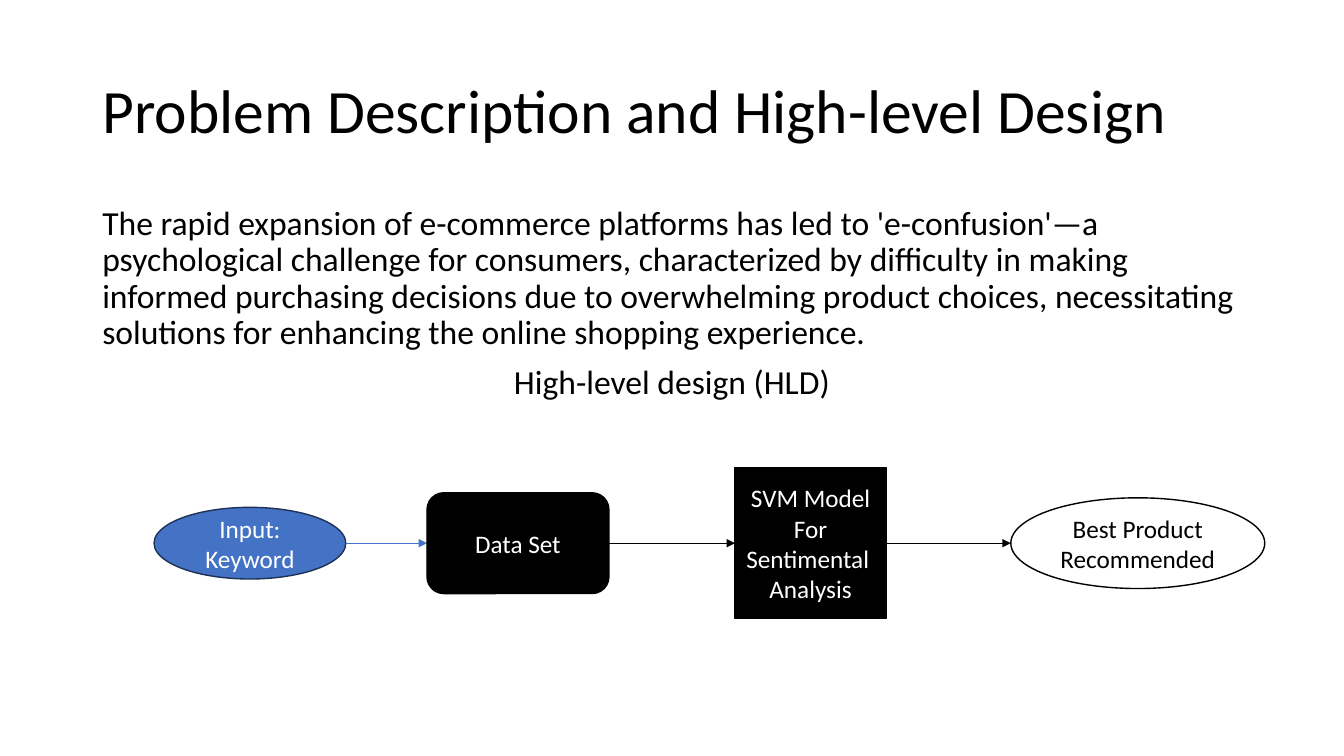
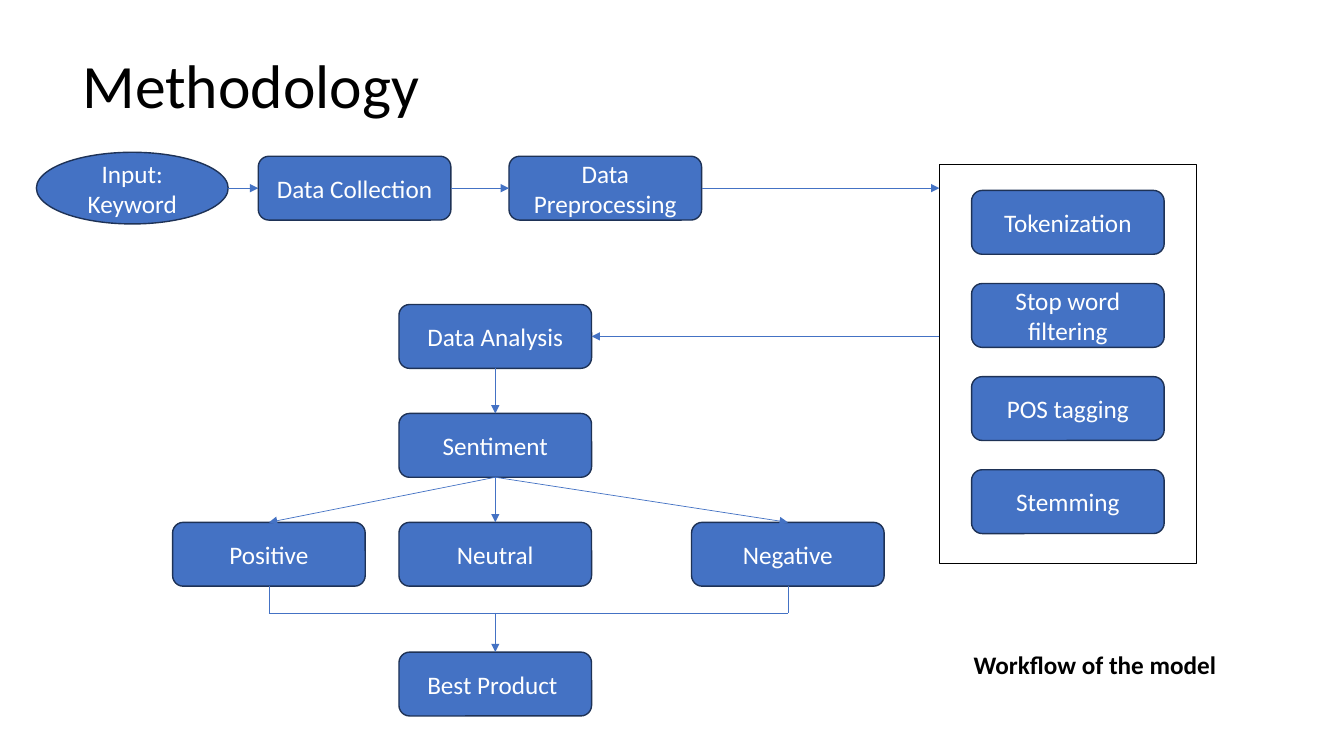
from dataclasses import dataclass

from lxml import etree
from pptx import Presentation
from pptx.dml.color import RGBColor
from pptx.enum.shapes import MSO_CONNECTOR, MSO_SHAPE
from pptx.enum.text import MSO_ANCHOR, PP_ALIGN
from pptx.oxml.ns import qn
from pptx.util import Pt

STRAIGHT = MSO_CONNECTOR.STRAIGHT
RECTANGLE = MSO_SHAPE.RECTANGLE
ROUNDED = MSO_SHAPE.ROUNDED_RECTANGLE
OVAL = MSO_SHAPE.OVAL
LEFT, CENTER = PP_ALIGN.LEFT, PP_ALIGN.CENTER
TOP_ANCHOR, MIDDLE = MSO_ANCHOR.TOP, MSO_ANCHOR.MIDDLE
# Connection sites of rectangles
TOP_SITE, LEFT_SITE, BOTTOM_SITE, RIGHT_SITE = range(4)
# Sizes shared by the flow diagrams
STEP_WIDTH, STEP_HEIGHT = 137.6, 45.6
INPUT_WIDTH, INPUT_HEIGHT = 137, 51.2


@dataclass(frozen=True)
class Theme:
    font: str = "Calibri"
    black: str = "000000"
    white: str = "FFFFFF"
    blue: str = "4472C4"
    navy: str = "1E3256"
    title_size: int = 44
    body_size: int = 24
    label_size: int = 18
    outline: float = 1
    connector: float = 0.5


class Deck:
    def __init__(self, theme):
        self.theme = theme
        self.presentation = Presentation()
        self.presentation.slide_width = Pt(960)
        self.presentation.slide_height = Pt(540)
        self.slide = None

    def new_slide(self, title, left, top):
        layout = self.presentation.slide_layouts[6]
        self.slide = self.presentation.slides.add_slide(layout)
        self.text(left, top, 828, 104.4, [(title, LEFT)],
                  self.theme.title_size, anchor=MIDDLE, spacing=0.9)

    def set_lines(self, frame, lines, size, color, anchor, bold=False,
                  spacing=None, before=None):
        """Fill a text frame with (text, alignment) lines."""
        frame.word_wrap = True
        frame.vertical_anchor = anchor
        for index, (text, alignment) in enumerate(lines):
            paragraph = frame.add_paragraph() if index else frame.paragraphs[0]
            paragraph.text = text
            paragraph.alignment = alignment
            if spacing:
                paragraph.line_spacing = spacing
            if before:
                paragraph.space_before = Pt(before)
            paragraph.font.name = self.theme.font
            paragraph.font.size = Pt(size)
            paragraph.font.bold = bold
            paragraph.font.color.rgb = RGBColor.from_string(color)

    def text(self, left, top, width, height, lines, size,
             anchor=TOP_ANCHOR, **style):
        shape = self.slide.shapes.add_textbox(
            Pt(left), Pt(top), Pt(width), Pt(height))
        self.set_lines(shape.text_frame, lines, size, self.theme.black,
                       anchor, **style)

    def node(self, kind, left, top, width, height, lines=(),
             fill=None, line=None, color=None):
        shape = self.slide.shapes.add_shape(
            kind, Pt(left), Pt(top), Pt(width), Pt(height))
        shape.shadow.inherit = False
        if fill:
            shape.fill.solid()
            shape.fill.fore_color.rgb = RGBColor.from_string(fill)
        else:
            shape.fill.background()
        shape.line.color.rgb = RGBColor.from_string(line or self.theme.black)
        shape.line.width = Pt(self.theme.outline)
        self.set_lines(shape.text_frame, [(text, CENTER) for text in lines],
                       self.theme.label_size, color or self.theme.white, MIDDLE)
        return shape

    def keyword_input(self, left, middle, arrow_end):
        """Draw the input oval and the arrow that leaves it."""
        self.node(OVAL, left, middle - INPUT_HEIGHT / 2, INPUT_WIDTH, INPUT_HEIGHT,
                  ["Input: Keyword"], self.theme.blue, self.theme.navy)
        self.line(left + INPUT_WIDTH, middle, arrow_end, middle)

    def step(self, left, top, label):
        return self.node(ROUNDED, left, top, STEP_WIDTH, STEP_HEIGHT,
                         [label], self.theme.blue, self.theme.navy)

    def line(self, x1, y1, x2, y2, color=None, arrow=True):
        connector = self.slide.shapes.add_connector(
            STRAIGHT, Pt(x1), Pt(y1), Pt(x2), Pt(y2))
        connector.line.color.rgb = RGBColor.from_string(color or self.theme.blue)
        connector.line.width = Pt(self.theme.connector)
        properties = connector._element.spPr
        if arrow:
            etree.SubElement(properties.find(qn("a:ln")), qn("a:tailEnd"),
                             type="triangle")
        etree.SubElement(properties, qn("a:effectLst"))
        return connector

    def link(self, start, start_site, end, end_site, color=None):
        """Draw an arrow that is glued to two shapes."""
        connector = self.line(0, 0, 0, 0, color)
        connector.begin_connect(start, start_site)
        connector.end_connect(end, end_site)


theme = Theme()
deck = Deck(theme)

# Slide 1: problem and high-level design
deck.new_slide("Problem Description and High-level Design", 66, 28.8)
deck.text(66, 144, 828, 342.7, [
    ("The rapid expansion of e-commerce platforms has led to 'e-confusion'—a "
     "psychological challenge for consumers, characterized by difficulty in "
     "making informed purchasing decisions due to overwhelming product choices, "
     "necessitating solutions for enhancing the online shopping experience.", LEFT),
    ("High-level design (HLD)", CENTER),
], theme.body_size, spacing=0.9, before=10)

# Design flow
design_middle = 388
data_set_left, model_left, model_size, recommended_left = 305, 525, 108, 722
deck.keyword_input(110, design_middle, data_set_left)
data_set = deck.node(ROUNDED, data_set_left, design_middle - 36, 130, 72,
                     ["Data Set"], theme.black)
model = deck.node(RECTANGLE, model_left, design_middle - model_size / 2,
                  model_size, model_size,
                  ["SVM Model", "For Sentimental ", "Analysis"], theme.black)
deck.node(OVAL, recommended_left, design_middle - 32.4, 181.4, 64.8,
          ["Best Product Recommended"], theme.white, color=theme.black)
deck.link(data_set, RIGHT_SITE, model, LEFT_SITE, theme.black)
deck.line(model_left + model_size, design_middle,
          recommended_left, design_middle, theme.black)

# Slide 2: workflow
deck.new_slide("Methodology", 51.8, 10.8)

# Input row
input_top = 111.6
input_middle = input_top + STEP_HEIGHT / 2
collection_left, preprocessing_left = 184.5, 363.6
deck.keyword_input(26, input_middle, collection_left)
collection = deck.step(collection_left, input_top, "Data Collection")
preprocessing = deck.step(preprocessing_left, input_top, "Data Preprocessing")
deck.link(collection, RIGHT_SITE, preprocessing, LEFT_SITE)

# Preprocessing steps in their frame
frame_left = 671
deck.node(RECTANGLE, frame_left, 117.4, 183.8, 285)
for index, label in enumerate(
        ["Tokenization", "Stop word filtering", "POS tagging", "Stemming"]):
    deck.step(694, 136 + index * 66.5, label)
deck.line(preprocessing_left + STEP_WIDTH, input_middle, frame_left, input_middle)

# Analysis column
column_left, column_top, row_pitch = 285, 217.5, 77.8
column_center = column_left + STEP_WIDTH / 2
analysis_middle = column_top + STEP_HEIGHT / 2
analysis = deck.step(column_left, column_top, "Data Analysis")
sentiment = deck.step(column_left, column_top + row_pitch, "Sentiment")
deck.line(frame_left, analysis_middle, column_left + STEP_WIDTH, analysis_middle)
deck.link(analysis, BOTTOM_SITE, sentiment, TOP_SITE)

# Sentiment classes
class_top = column_top + 2 * row_pitch
class_lefts = {"Positive": 123.3, "Neutral": column_left, "Negative": 494}
for label, left in class_lefts.items():
    deck.link(sentiment, BOTTOM_SITE, deck.step(left, class_top, label), TOP_SITE)

# Outer classes join on a bar that leads to the best product
bar_y, product_top = 437.8, 465.8
outer_centers = [class_lefts[label] + STEP_WIDTH / 2
                 for label in ("Positive", "Negative")]
for center in outer_centers:
    deck.line(center, class_top + STEP_HEIGHT, center, bar_y, arrow=False)
deck.line(outer_centers[0], bar_y, outer_centers[1], bar_y, arrow=False)
deck.step(column_left, product_top, "Best Product ")
deck.line(column_center, bar_y, column_center, product_top)

# Caption
deck.text(688.3, 460, 254, 29, [("Workflow of the model", LEFT)],
          theme.label_size, bold=True)

deck.presentation.save("out.pptx")
